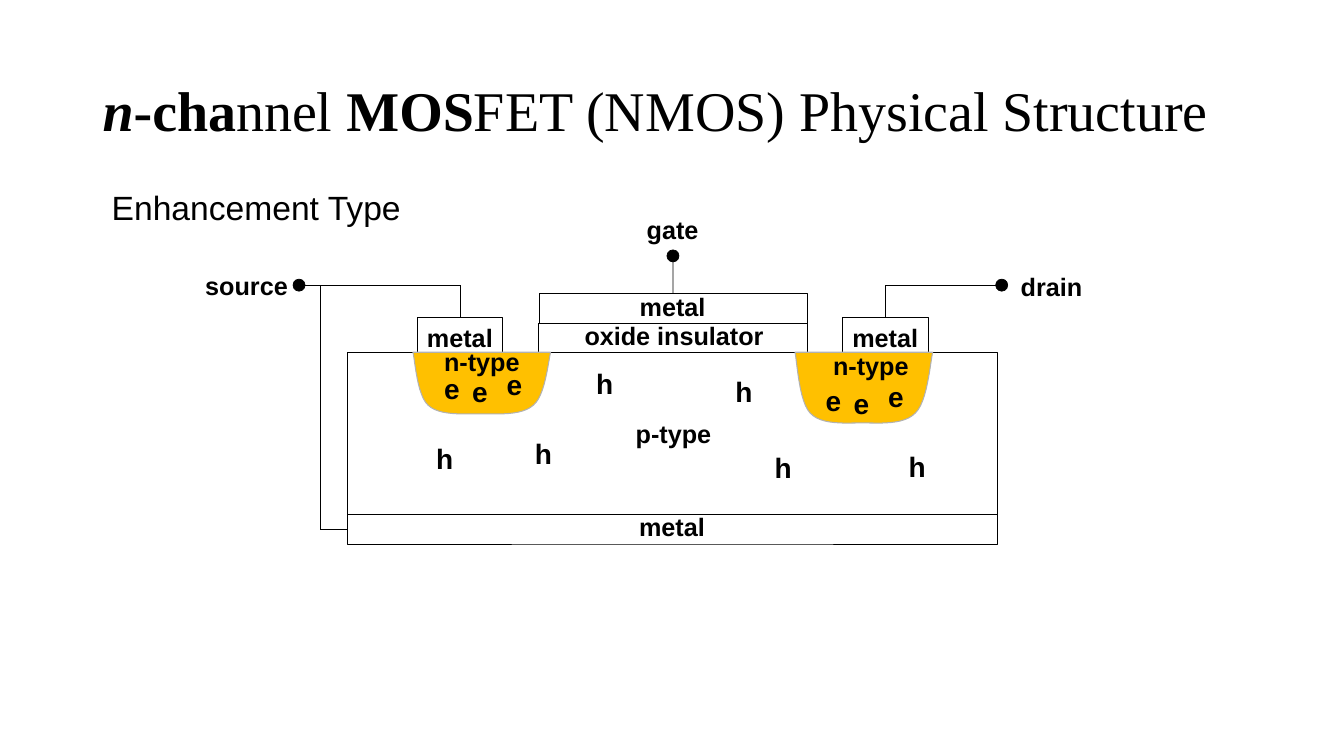
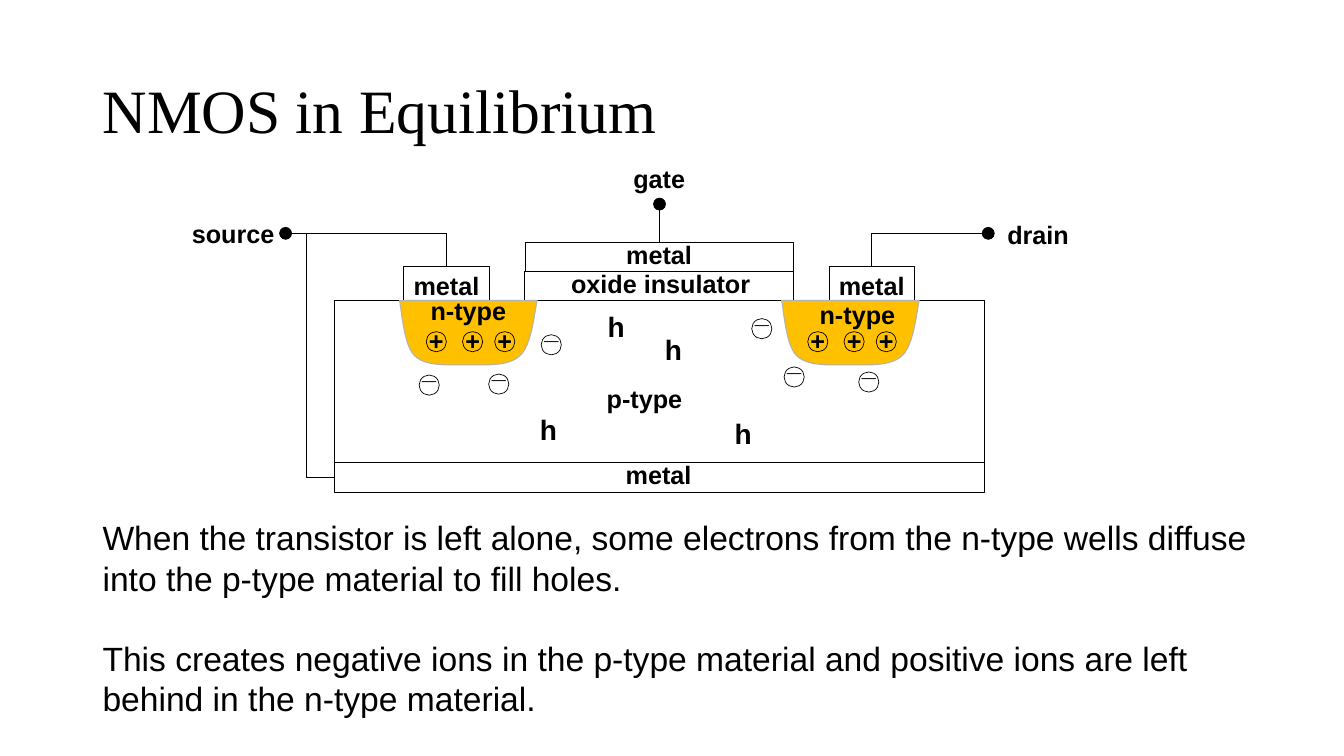
from lxml.etree import SubElement
from pptx import Presentation
from pptx.dml.color import RGBColor
from pptx.enum.shapes import MSO_CONNECTOR, MSO_SHAPE
from pptx.enum.text import MSO_ANCHOR, PP_ALIGN
from pptx.oxml.ns import qn
from pptx.util import Pt

BLACK = RGBColor(0, 0, 0)
GOLD = RGBColor(0xFF, 0xC0, 0x00)
GREY = RGBColor(0xB2, 0xB2, 0xB2)
LEFT, MID = PP_ALIGN.LEFT, PP_ALIGN.CENTER
RECT, OVAL = MSO_SHAPE.RECTANGLE, MSO_SHAPE.OVAL
SANS, SERIF = "Arial", "Times New Roman"


def write(page, text, x, y, w, h, size=18, bold=True, align=LEFT, face=SANS):
    frame = page.shapes.add_textbox(Pt(x), Pt(y), Pt(w), Pt(h)).text_frame
    frame.word_wrap = align == LEFT
    frame.text = text
    for para in frame.paragraphs:
        para.alignment = align
        for run in para.runs:
            run.font.size = Pt(size)
            run.font.name = face
            run.font.bold = bold
            run.font.color.rgb = BLACK
    return frame


def draw(page, kind, x, y, w, h, fill=None):
    shape = page.shapes.add_shape(kind, Pt(x), Pt(y), Pt(w), Pt(h))
    shape.shadow.inherit = False
    if fill is None:
        shape.fill.background()
    else:
        shape.fill.solid()
        shape.fill.fore_color.rgb = fill
    shape.line.color.rgb = BLACK
    shape.line.width = Pt(0.5)
    return shape


LAYERS = {
    "body": (0, 0, 464.4, 116),
    "base": (0, 116, 464.4, 21),
    "source": (49.7, -24.6, 61.2, 24.6),
    "drain": (353.5, -24.6, 61.2, 24.6),
    "oxide": (136.1, -20.9, 192.2, 20.9),
    "gate": (136.8, -41.8, 191.5, 20.9),
}
LABELS = [
    ("metal", 49.7, -24.8, 61.2, MID),
    ("metal", 353.5, -24.8, 61.2, MID),
    ("oxide insulator", 162, -26.3, 142.6, MID),
    ("metal", 201.6, -47.2, 61.2, MID),
    ("metal", 185, 109.8, 93.6, MID),
    ("n-type", 61.9, -7.5, 88.6, LEFT),
    ("n-type", 339.8, -4.6, 88.6, LEFT),
    ("gate", 196.6, -101.8, 71.3, MID),
    ("source", -108.7, -62.2, 75.6, LEFT),
    ("drain", 473.8, -61.5, 80.6, LEFT),
]
DOT = 8.6
DOTS = [(-38.9, -52.2), (463, -52.2), (228.2, -73.1)]
RAIL, BULK = -47.9, -19.4
WIRES = [
    (-32, RAIL, 80.3, RAIL, None, 0),
    (80.3, RAIL, 80.3, -24.6, "source", 0),
    (467, RAIL, 384.1, RAIL, None, 0),
    (384.1, RAIL, 384.1, -24.6, "drain", 0),
    (232.5, -68, 232.5, -41.8, "gate", 0),
    (BULK, RAIL, BULK, 126.5, None, 0),
    (BULK, 126.5, 0, 126.5, "base", 1),
]
CURVE = [
    [(0, 0), (0.015, 0.14), (0.03, 0.7), (0.11, 0.86)],
    [(0.11, 0.86), (0.19, 1.03), (0.36, 1), (0.49, 1)],
    [(0.49, 1), (0.62, 1), (0.79, 1.03), (0.875, 0.86)],
    [(0.875, 0.86), (0.96, 0.7), (0.98, 0.2), (1, 0)],
]
STEPS = 12
RIM = []
for knots in CURVE:
    for step in range(1, STEPS + 1):
        t = step / STEPS
        mix = ((1 - t) ** 3, 3 * t * (1 - t) ** 2, 3 * t * t * (1 - t), t ** 3)
        RIM.append([sum(m * k[axis] for m, k in zip(mix, knots)) for axis in (0, 1)])

WELLS = (46.8, 319.7)
SPAN = 98.3
PAIR = 272.5
ION = 14.4

SLIDES = [
    {
        "title": [("n", True, True), ("-cha", True, False), ("nnel", False, False),
                  (" MOS", True, False),
                  ("FET (NMOS) Physical Structure", False, False)],
        "size": 40,
        "width": 838.8,
        "note": ("Enhancement Type", 72.7, 130.3, 480, 36),
        "start": (248.2, 251.6),
        "depth": (44, 50.5),
        "p-type": (198.7, 43.6),
        "e": [(x + side * PAIR, y + side * 8.5) for side in (0, 1)
              for x, y in ((61.9, 10.4), (82, 12.6), (106.6, 7.6))],
        "h": [(56.2, 60.1), (126.7, 56.5), (170.6, 6.8),
              (270, 12.6), (298.1, 66.6), (393.8, 65.9)],
        "+": [],
        "_": [],
    },
    {
        "title": [("NMOS in Equilibrium", False, False)],
        "size": 44,
        "width": 828,
        "note": ("When the transistor is left alone, some electrons from the "
                 "n-type wells diffuse into the p-type material to fill holes.\n"
                 "This creates negative ions in the p-type material and positive "
                 "ions are left behind in the n-type material.",
                 66.2, 365.8, 839.5, 152.6),
        "start": (238.6, 214.6),
        "depth": (46, 46),
        "p-type": (187.6, 55.4),
        "e": [],
        "h": [(188.3, 2.9), (229.3, 19.4), (140, 76.3), (279, 79.2)],
        "+": [(x + side * PAIR, 22.3) for side in (0, 1) for x in (65.9, 91.8, 114.8)],
        "_": [(110.5, 52.6), (60.8, 53.3), (148, 24.5),
              (298.4, 13), (321.5, 47.5), (374.8, 51.1)],
    },
]

deck = Presentation()
deck.slide_width, deck.slide_height = Pt(960), Pt(540)

for data in SLIDES:
    page = deck.slides.add_slide(deck.slide_layouts[6])
    left, top = data["start"]

    frame = write(page, "", 66.2, 28.8, data["width"], 104.4)
    frame.vertical_anchor = MSO_ANCHOR.MIDDLE
    para = frame.paragraphs[0]
    para.line_spacing = 0.9
    for text, bold, slant in data["title"]:
        run = para.add_run()
        run.text = text
        run.font.size = Pt(data["size"])
        run.font.name = SERIF
        run.font.bold = bold
        run.font.italic = slant
        run.font.color.rgb = BLACK

    note = write(page, *data["note"], size=24, bold=False)
    for para in note.paragraphs:
        para.line_spacing = Pt(28.8)
    for para in note.paragraphs[1:]:
        para.space_before = Pt(28.8)

    parts = {}
    for name, (x, y, w, h) in LAYERS.items():
        parts[name] = draw(page, RECT, left + x, top + y, w, h)

    for x, depth in zip(WELLS, data["depth"]):
        pen = page.shapes.build_freeform(Pt(left + x), Pt(top))
        pen.add_line_segments(
            [(Pt(left + x + u * SPAN), Pt(top + v * depth)) for u, v in RIM])
        well = pen.convert_to_shape()
        well.shadow.inherit = False
        well.fill.solid()
        well.fill.fore_color.rgb = GOLD
        well.line.color.rgb = GREY
        well.line.width = Pt(0.75)

    for x1, y1, x2, y2, goal, side in WIRES:
        wire = page.shapes.add_connector(
            MSO_CONNECTOR.STRAIGHT, Pt(left + x1), Pt(top + y1),
            Pt(left + x2), Pt(top + y2))
        if goal:
            wire.end_connect(parts[goal], side)
        wire.line.color.rgb = BLACK
        wire.line.width = Pt(0.5)
        SubElement(wire._element.spPr, qn("a:effectLst"))

    for x, y in DOTS:
        draw(page, OVAL, left + x, top + y, DOT, DOT, BLACK)

    for text, x, y, w, align in LABELS + [("p-type", *data["p-type"], 68.4, MID)]:
        write(page, text, left + x, top + y, w, 28.8, align=align)

    for sign in "eh":
        for x, y in data[sign]:
            write(page, sign, left + x, top + y, 26.6, 31, size=20)

    for sign, rise in (("+", 7.9), ("_", 18)):
        for x, y in data[sign]:
            draw(page, OVAL, left + x, top + y, ION, ION)
            write(page, sign, left + x - 7, top + y - rise, ION + 14, 28.8, align=MID)

deck.save("out.pptx")
